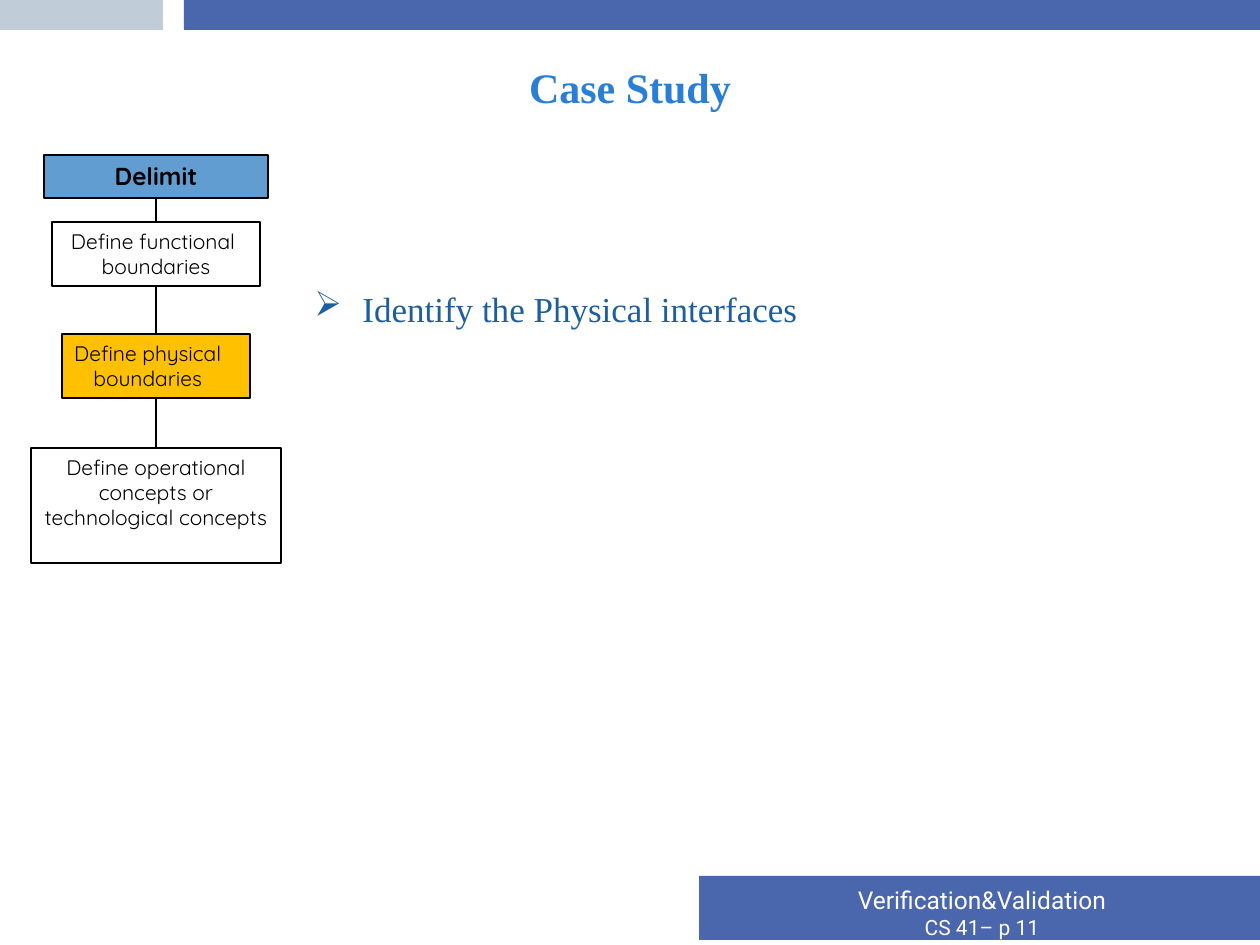
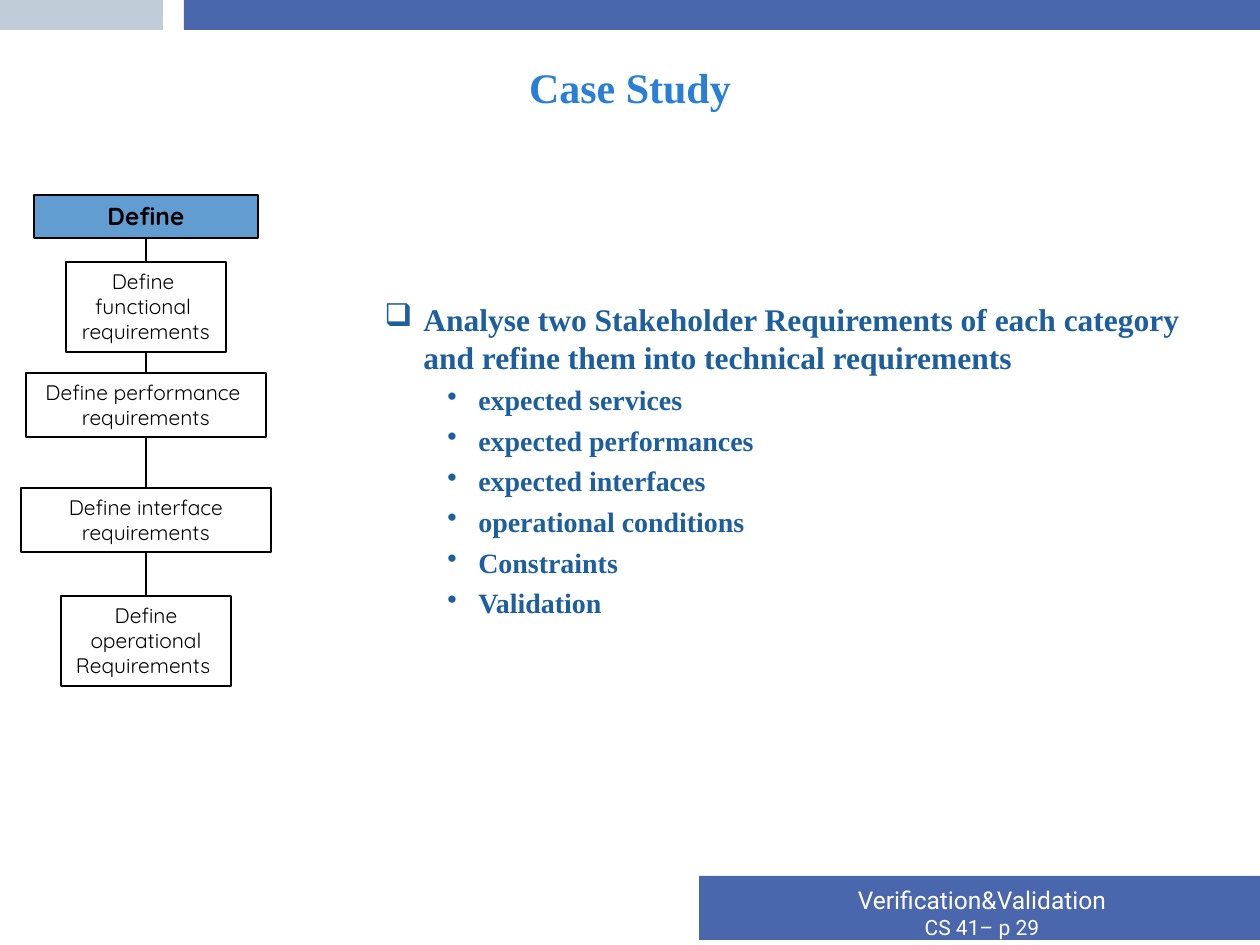
from lxml import etree
from pptx import Presentation
from pptx import util as u
from pptx.dml import color
from pptx.enum import shapes, text
from pptx.oxml import ns

PX = 914400 // 126
rgb = color.RGBColor.from_string
BLUE, GREY, SKY, AMBER = "4A66AC", "C0CCD8", "629DD1", "FFC000"
WHITE, BLACK, TITLE, BODY = "FFFFFF", "000000", "297FD5", "1C5E9E"
SERIF, ROUND, SANS = "Times New Roman", "Quicksand", "Roboto"


def write(frame, words, size, font, ink, bold=False, align=text.PP_ALIGN.CENTER,
          bullet=None, level=0, indent=0, hang=0, before=0):
    para = frame.add_paragraph() if frame.text else frame.paragraphs[0]
    para.alignment = align
    para.space_before = u.Pt(before)
    if bullet:
        para.level = level
        props = para._p.get_or_add_pPr()
        props.set("marL", str(indent * PX))
        props.set("indent", str(-hang * PX))
        etree.SubElement(props, ns.qn("a:buChar")).set("char", bullet)
    span = para.add_run()
    span.text = words
    span.font.name = font
    span.font.size = u.Pt(size)
    span.font.bold = bold
    span.font.color.rgb = rgb(ink)


def add_rect(page, left, top, width, height, fill, line=None):
    box = page.shapes.add_shape(shapes.MSO_SHAPE.RECTANGLE,
                                left * PX, top * PX, width * PX, height * PX)
    box.shadow.inherit = False
    box.fill.solid()
    box.fill.fore_color.rgb = rgb(fill)
    if line:
        box.line.color.rgb = rgb(line)
        box.line.width = u.Pt(1)
    else:
        box.line.fill.background()
    return box


bands = [(184, 0, 1076, 30, BLUE), (0, 0, 163, 30, GREY), (699, 876, 561, 64, BLUE)]
categories = ["expected services", "expected performances", "expected interfaces",
              "operational conditions", "Constraints", "Validation"]
arrow = dict(size=20, bullet="➢", indent=48, hang=48)
square = dict(size=18, bold=True, bullet="❑", level=1, indent=102, hang=39)
dot = dict(size=16, bold=True, bullet="•", level=2, indent=157, hang=31, before=4)

slides = [
    dict(number=11, axis=156, body=(302, 281, 885, 574),
         points=[("Identify the Physical interfaces", arrow)],
         steps=[(155, 224, 43, SKY, ["Delimit"]),
                (222, 208, 64, WHITE, ["Define functional ", "boundaries"]),
                (334, 188, 64, AMBER, ["Define physical ", "boundaries "]),
                (448, 250, 115, WHITE,
                 ["Define operational concepts or technological concepts"])]),
    dict(number=29, axis=146, body=(309, 294, 885, 526),
         points=[("Analyse two Stakeholder Requirements of each category "
                  "and refine them into technical requirements", square)]
         + [(category, dot) for category in categories],
         steps=[(195, 224, 43, SKY, ["Define"]),
                (262, 160, 90, WHITE, ["Define ", "functional ", "requirements"]),
                (373, 240, 64, WHITE, ["Define performance ", "requirements"]),
                (488, 250, 64, WHITE, ["Define interface requirements"]),
                (596, 170, 90, WHITE, ["Define", "operational Requirements "])]),
]

deck = Presentation()
deck.slide_width = 1260 * PX
deck.slide_height = 945 * PX

for content in slides:
    page = deck.slides.add_slide(deck.slide_layouts[6])
    for band in bands:
        add_rect(page, *band)

    frames = []
    for place in [(699, 879, 566, 68), (63, 38, 1134, 97), content["body"]]:
        frame = page.shapes.add_textbox(*[length * PX for length in place]).text_frame
        frame.word_wrap = True
        frames.append(frame)
    footer, title, body = frames
    write(footer, "Verification&Validation", 14, SANS, WHITE)
    write(footer, f"CS 41– p {content['number']}", 12, SANS, WHITE)
    title.vertical_anchor = text.MSO_ANCHOR.MIDDLE
    write(title, "Case Study", 24, SERIF, TITLE, bold=True)
    for words, style in content["points"]:
        write(body, words, font=SERIF, ink=BODY, align=text.PP_ALIGN.LEFT, **style)

    boxes = []
    for top, width, height, fill, lines in content["steps"]:
        box = add_rect(page, content["axis"] - width // 2, top, width, height, fill, BLACK)
        frame = box.text_frame
        frame.vertical_anchor = text.MSO_ANCHOR.TOP
        frame.word_wrap = fill != AMBER
        if fill == AMBER:
            frame.margin_right = 23 * PX
        heading = fill == SKY
        for line in lines:
            write(frame, line, 14 if heading else 12, ROUND, BLACK, bold=heading)
        boxes.append(box)

    for upper, lower in zip(boxes, boxes[1:]):
        link = page.shapes.add_connector(shapes.MSO_CONNECTOR.STRAIGHT, 0, 0, 0, 0)
        link.begin_connect(upper, 2)
        link.end_connect(lower, 0)
        link.line.color.rgb = rgb(BLACK)
        link.line.width = u.Pt(1)
        etree.SubElement(link._element.spPr, ns.qn("a:effectLst"))

deck.save("out.pptx")
